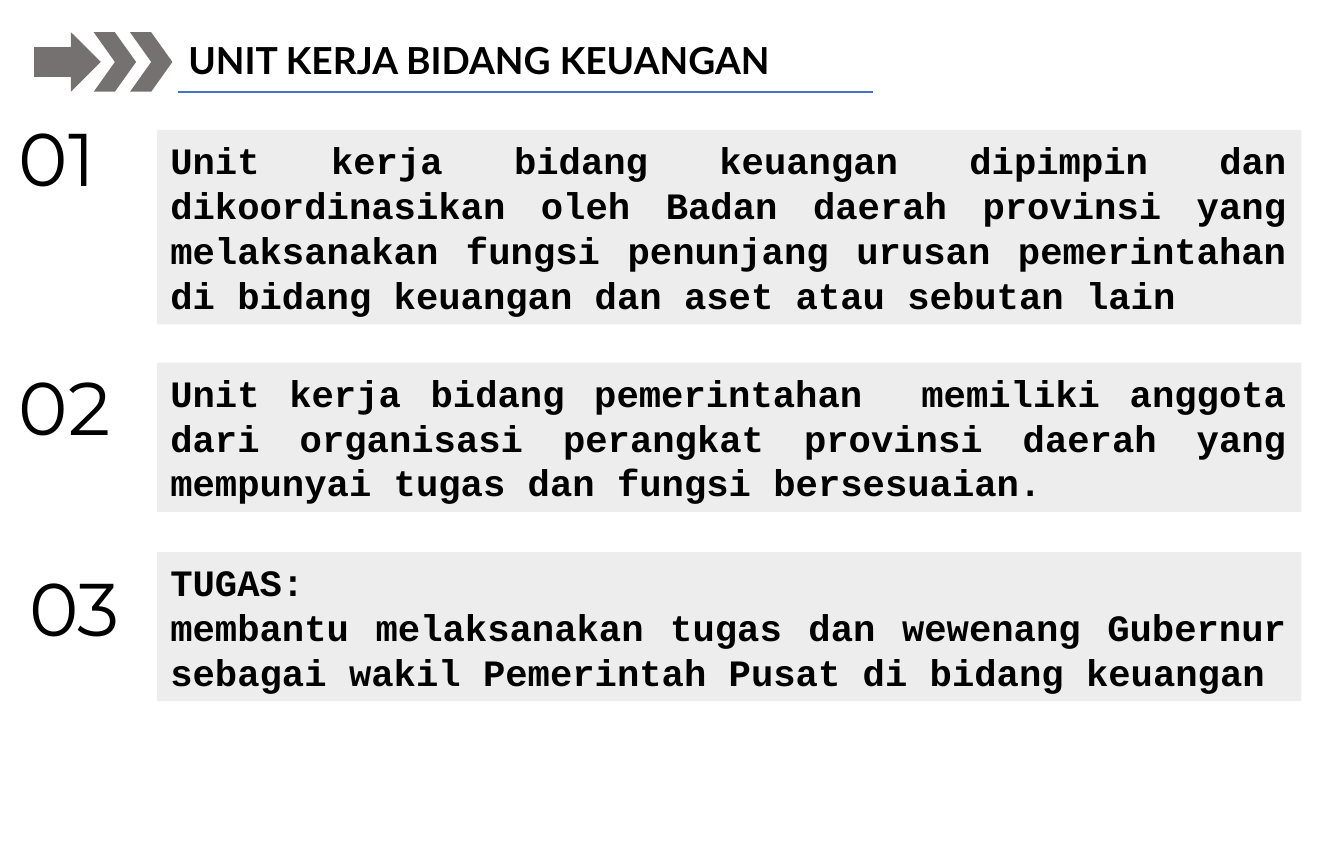
from pptx import Presentation
from pptx.dml.color import RGBColor
from pptx.enum.shapes import MSO_CONNECTOR, MSO_SHAPE as Shape
from pptx.enum.text import MSO_ANCHOR, MSO_AUTO_SIZE as Fit, PP_ALIGN
from pptx.oxml.ns import qn
from pptx.util import Inches, Pt
from lxml.etree import SubElement

COLORS = {"panel": "EDEDED", "arrow": "767171", "rule": "4472C4", "text": "000000"}

# number left, number top, panel top, panel height, paragraphs
ITEMS = [
    (0.09, 1.06, 1.29, 1.93, [
        "Unit kerja bidang keuangan dipimpin dan dikoordinasikan oleh Badan daerah "
        "provinsi yang melaksanakan fungsi penunjang urusan pemerintahan di bidang "
        "keuangan dan aset atau sebutan lain"]),
    (0.09, 3.53, 3.6, 1.48, [
        "Unit kerja bidang pemerintahan  memiliki anggota dari organisasi perangkat "
        "provinsi daerah yang mempunyai tugas dan fungsi bersesuaian."]),
    (0.19, 5.53, 5.48, 1.48, [
        "TUGAS:",
        "membantu melaksanakan tugas dan wewenang Gubernur sebagai wakil Pemerintah "
        "Pusat di bidang keuangan"]),
]

ARROWS = [
    (Shape.RIGHT_ARROW, 0.34, 0.66),
    (Shape.CHEVRON, 0.93, 0.42),
    (Shape.CHEVRON, 1.29, 0.42),
]


def color(name):
    return RGBColor.from_string(COLORS[name])


def style(para, face, size, bold=False):
    font = para.font
    font.name, font.size, font.bold = face, Pt(size), bold
    font.color.rgb = color("text")


def add_block(slide, kind, box, fill):
    """Add a plain filled shape without outline or shadow."""
    block = slide.shapes.add_shape(kind, *map(Inches, box))
    block.fill.solid()
    block.fill.fore_color.rgb = color(fill)
    block.line.fill.background()
    block.shadow.inherit = False
    return block


def add_panel(slide, top, height, lines):
    panel = add_block(slide, Shape.RECTANGLE, (1.56, top, 11.35, height), "panel")
    frame = panel.text_frame
    frame.word_wrap = True
    frame.auto_size = Fit.SHAPE_TO_FIT_TEXT
    frame.vertical_anchor = MSO_ANCHOR.MIDDLE
    frame.margin_left = frame.margin_right = Inches(0.13)
    frame.margin_top = frame.margin_bottom = Inches(0.07)
    frame.text = "\n".join(lines)
    for para in frame.paragraphs:
        para.alignment = PP_ALIGN.JUSTIFY
        style(para, "Courier New", 26.67, True)


def add_label(slide, box, text, face, size, bold=False):
    frame = slide.shapes.add_textbox(*map(Inches, box)).text_frame
    frame.word_wrap = False
    frame.auto_size = Fit.SHAPE_TO_FIT_TEXT
    frame.text = text
    style(frame.paragraphs[0], face, size, bold)


def add_rule(slide, left, right, top):
    ends = map(Inches, (left, top, right, top))
    rule = slide.shapes.add_connector(MSO_CONNECTOR.STRAIGHT, *ends)
    rule.line.color.rgb = color("rule")
    rule.line.width = Pt(1.5)
    SubElement(rule._element.spPr, qn("a:effectLst"))


def main():
    deck = Presentation()
    deck.slide_width, deck.slide_height = Inches(40 / 3), Inches(25.4 / 3)
    slide = deck.slides.add_slide(deck.slide_layouts[6])

    for num, (left, top, y, height, lines) in enumerate(ITEMS, 1):
        add_panel(slide, y, height, lines)
        add_label(slide, (left, top, 1.2, 1), f"{num:02}", "Montserrat", 53.33)

    for kind, left, width in ARROWS:
        add_block(slide, kind, (left, 0.32, width, 0.59), "arrow")
    add_label(slide, (1.77, 0.32, 6.1, 0.55), "UNIT KERJA BIDANG KEUANGAN",
              "Lato", 26.67, True)
    add_rule(slide, 1.77, 8.66, 0.91)

    deck.save("out.pptx")


if __name__ == "__main__":
    main()
